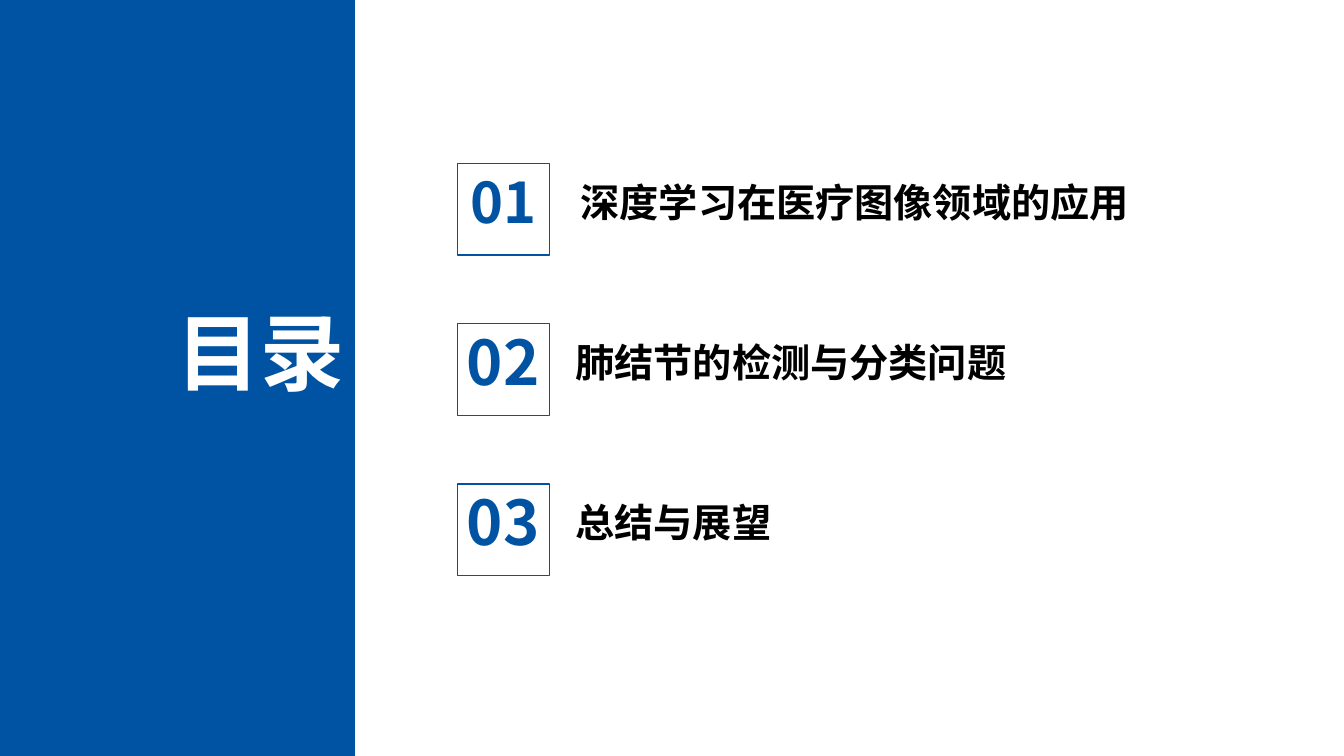
import pptx
import pptx.util
import pptx.dml.color
import pptx.enum.shapes
import pptx.enum.text
import lxml.etree
from pptx.util import Inches

COLORS = {"blue": "0053A3", "white": "FFFFFF", "black": "000000"}
FONT = "Noto Sans CJK SC"
ALIGN = pptx.enum.text.PP_ALIGN

# Heading, number size, number box (left, width), heading box (left, width)
SECTIONS = [
    ("深度学习在医疗图像领域的应用", 40, (4.54, 0.91), (5.66, 5.86)),
    ("肺结节的检测与分类问题", 44, (4.5, 0.98), (5.61, 4.74)),
    ("总结与展望", 44, (4.5, 0.98), (5.61, 4.25)),
]
FIRST_TOP, ROW_STEP, FRAME_SIZE = 1.62, 1.59, 0.91


def rgb(name):
    return pptx.dml.color.RGBColor.from_string(COLORS[name])


def place(shape, left, top, width, height):
    shape.left, shape.top = Inches(left), Inches(top)
    shape.width, shape.height = Inches(width), Inches(height)


def write_text(shape, text, size, color, align):
    tf = shape.text_frame
    tf.word_wrap = True
    tf.auto_size = pptx.enum.text.MSO_AUTO_SIZE.NONE
    tf.vertical_anchor = pptx.enum.text.MSO_ANCHOR.TOP
    p = tf.paragraphs[0]
    p.text = text
    p.alignment = align
    p.line_spacing = 0.9
    font = p.font
    font.name, font.size, font.bold = FONT, pptx.util.Pt(size), True
    font.color.rgb = rgb(color)
    # East Asian typeface follows the Latin one
    latin = p.font._element.find(pptx.oxml.ns.qn("a:latin"))
    ea = lxml.etree.Element(pptx.oxml.ns.qn("a:ea"), typeface=FONT)
    latin.addnext(ea)


def add_text(s, box, text, size, color, align=ALIGN.LEFT):
    tb = s.shapes.add_textbox(*map(Inches, box))
    write_text(tb, text, size, color, align)


def add_rect(s, box, fill=None, line=None):
    sp = s.shapes.add_shape(pptx.enum.shapes.MSO_SHAPE.RECTANGLE, *map(Inches, box))
    sp.shadow.inherit = False
    if fill:
        sp.fill.solid()
        sp.fill.fore_color.rgb = rgb(fill)
    else:
        sp.fill.background()
    if line:
        sp.line.color.rgb = rgb(line)
        sp.line.width = pptx.util.Pt(1)
    else:
        sp.line.fill.background()
    return sp


def add_section(s, index, heading, number_size, number_box, heading_box):
    top = FIRST_TOP + index * ROW_STEP
    left, width = heading_box
    add_text(s, (left, top + 0.15, width, 0.57), heading, 28, "black")
    left, width = number_box
    number_height = 0.1 + number_size / 60
    number_top = top + (FRAME_SIZE - number_height) / 2
    add_text(s, (left, number_top, width, number_height), f"{index + 1:02d}",
             number_size, "blue", ALIGN.CENTER)
    add_rect(s, (4.54, top, FRAME_SIZE, FRAME_SIZE), line="blue")


def main():
    prs = pptx.Presentation()
    prs.slide_width, prs.slide_height = Inches(13.33), Inches(7.5)
    s = prs.slides.add_slide(prs.slide_layouts[5])

    # Blue side panel, behind the title
    title = s.shapes.title
    panel = add_rect(s, (0, 0, 3.52, 7.5), fill="blue")
    title.element.addprevious(panel.element)
    place(title, 0.98, 3.04, 2.54, 1.11)
    write_text(title, "目录", 60, "white", ALIGN.RIGHT)

    # Numbered contents list
    for index, section in enumerate(SECTIONS):
        add_section(s, index, *section)

    prs.save("out.pptx")


if __name__ == "__main__":
    main()
